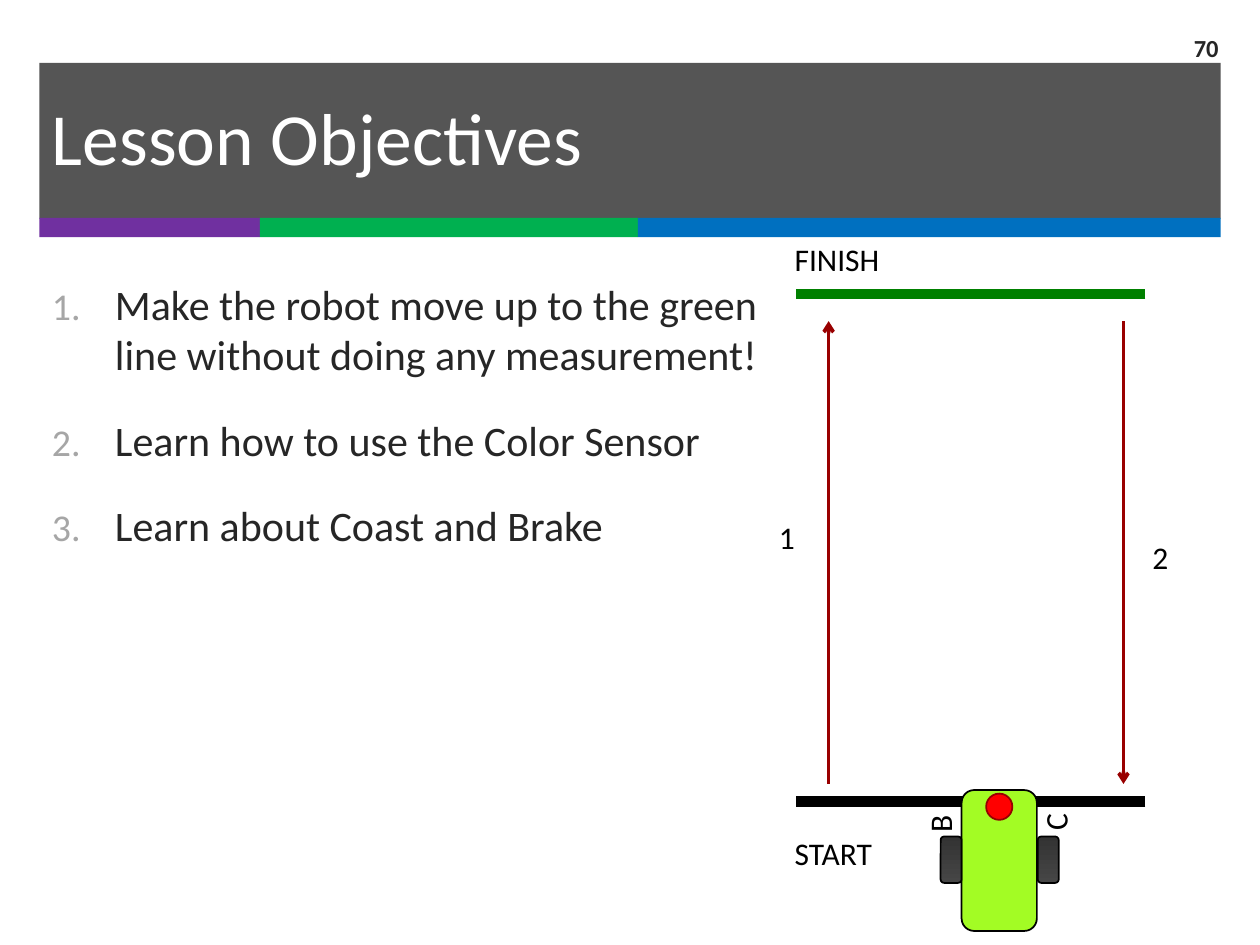
from dataclasses import dataclass

from lxml import etree
from pptx import Presentation
from pptx.dml.color import RGBColor
from pptx.enum.shapes import MSO_CONNECTOR, MSO_SHAPE
from pptx.enum.text import MSO_ANCHOR, MSO_AUTO_SIZE, PP_ALIGN
from pptx.oxml.ns import qn
from pptx.util import Pt

RECT, ROUND, OVAL = MSO_SHAPE.RECTANGLE, MSO_SHAPE.ROUNDED_RECTANGLE, MSO_SHAPE.OVAL
STRAIGHT = MSO_CONNECTOR.STRAIGHT
TOP, MIDDLE = MSO_ANCHOR.TOP, MSO_ANCHOR.MIDDLE
LEFT, RIGHT = PP_ALIGN.LEFT, PP_ALIGN.RIGHT
NO_AUTOFIT = MSO_AUTO_SIZE.NONE

FONT = "Calibri"
COLORS = {
    "banner": "0D0D0D", "purple": "7030A0", "green": "00B050", "blue": "0070C0",
    "white": "FFFFFF", "text": "262626", "number": "A6A6A6", "black": "000000",
    "finish": "008000", "route": "990000", "robot": "A3FC24", "sensor": "FF0000",
    "sensor_edge": "960000", "wheel_light": "464646", "wheel_dark": "333333",
}
OBJECTIVES = [
    "Make the robot move up to the green\vline without doing any measurement!",
    "Learn how to use the Color Sensor",
    "Learn about Coast and Brake",
]


@dataclass
class Box:
    x: float
    y: float
    w: float
    h: float


@dataclass
class Line:
    x1: float
    y1: float
    x2: float
    y2: float
    color: str
    width: float
    arrow: bool = False


@dataclass
class Label:
    text: str
    box: Box
    rotation: int = 0
    wrap: bool = True


BANNER = Box(22.5, 36, 675, 89)
STRIPES = [("purple", 126), ("green", 216), ("blue", 333)]
LINES = [
    Line(654.5, 168, 455, 168, "finish", 6),
    Line(654.5, 458, 455, 458, "black", 6),
    Line(473.5, 448, 473.5, 183.5, "route", 2, True),
    Line(642, 183.5, 642, 448, "route", 2, True),
]
LABELS = [
    Label("1", Box(438, 292.5, 24.5, 29)),
    Label("2", Box(651.5, 304, 24.5, 29)),
    Label("FINISH", Box(447, 133.5, 74, 29), wrap=False),
    Label("START", Box(447, 473, 72, 29), wrap=False),
]
MOTOR_LABELS = [
    Label("B", Box(517, 456, 32.5, 21.5), 270),
    Label("C", Box(583, 454.5, 32.5, 21.5), 270),
]


def rgb(name: str) -> RGBColor:
    return RGBColor.from_string(COLORS[name])


def add_block(s, kind, box: Box, fill: str = "", line: str = ""):
    sp = s.shapes.add_shape(kind, Pt(box.x), Pt(box.y), Pt(box.w), Pt(box.h))
    sp.shadow.inherit = False
    if fill:
        sp.fill.solid()
        sp.fill.fore_color.rgb = rgb(fill)
    if line:
        sp.line.color.rgb = rgb(line)
        sp.line.width = Pt(1)
    else:
        sp.line.fill.background()
    return sp


def add_wheel(s, box: Box) -> None:
    sp = add_block(s, ROUND, box, line="black")
    sp.fill.gradient()
    sp.fill.gradient_angle = 90
    for stop, name in zip(sp.fill.gradient_stops, ("wheel_light", "wheel_dark")):
        stop.color.rgb = rgb(name)


def add_line(s, line: Line) -> None:
    cn = s.shapes.add_connector(STRAIGHT, Pt(line.x1), Pt(line.y1), Pt(line.x2), Pt(line.y2))
    cn.line.color.rgb = rgb(line.color)
    cn.line.width = Pt(line.width)
    if line.arrow:
        etree.SubElement(cn.line._get_or_add_ln(), qn("a:tailEnd"), type="arrow")
    etree.SubElement(cn._element.spPr, qn("a:effectLst"))


def write(p, text: str, *, size: float, color: str = "black", bold: bool = False,
          align=LEFT) -> None:
    p.alignment = align
    for i, part in enumerate(text.split("\v")):
        if i:
            p.add_line_break()
        r = p.add_run()
        r.text = part
        r.font.name = FONT
        r.font.size = Pt(size)
        r.font.bold = bold
        r.font.color.rgb = rgb(color)


def add_label(s, label: Label, anchor=TOP, size: float = 18, **style) -> None:
    b = label.box
    sp = s.shapes.add_textbox(Pt(b.x), Pt(b.y), Pt(b.w), Pt(b.h))
    sp.rotation = label.rotation
    tf = sp.text_frame
    tf.word_wrap = label.wrap
    tf.vertical_anchor = anchor
    write(tf.paragraphs[0], label.text, size=size, **style)


def place(s, sp, box: Box, anchor):
    sp.left, sp.top, sp.width, sp.height = Pt(box.x), Pt(box.y), Pt(box.w), Pt(box.h)
    s.shapes._spTree.append(sp._element)
    tf = sp.text_frame
    tf.auto_size = NO_AUTOFIT
    tf.vertical_anchor = anchor
    return tf


def number(p) -> None:
    pPr = p._p.get_or_add_pPr()
    pPr.set("marL", str(Pt(36)))
    pPr.set("indent", str(-Pt(36)))
    color = etree.SubElement(pPr, qn("a:buClr"))
    etree.SubElement(color, qn("a:srgbClr"), val=COLORS["number"])
    etree.SubElement(pPr, qn("a:buSzPct"), val="90000")
    etree.SubElement(pPr, qn("a:buFont"), typeface=FONT)
    etree.SubElement(pPr, qn("a:buAutoNum"), type="arabicPeriod")


def add_header(s) -> None:
    banner = add_block(s, RECT, BANNER, "banner")
    color = banner.fill._xPr.find(qn("a:solidFill"))[0]
    etree.SubElement(color, qn("a:alpha"), val="70000")
    x = BANNER.x
    for name, width in STRIPES:
        add_block(s, RECT, Box(x, 124.5, width, 11), name)
        x += width
    tf = place(s, s.shapes.title, Box(BANNER.x, 39.5, BANNER.w, 76.5), MIDDLE)
    write(tf.paragraphs[0], "Lesson Objectives", size=42, color="white")


def add_objectives(s) -> None:
    tf = place(s, s.placeholders[1], Box(BANNER.x, 155.5, BANNER.w, 327), TOP)
    for i, text in enumerate(OBJECTIVES):
        p = tf.add_paragraph() if i else tf.paragraphs[0]
        number(p)
        p.space_before = Pt(20 if i else 0)
        write(p, text, size=24, color="text")


def add_robot(s) -> None:
    add_block(s, ROUND, Box(549.5, 451.5, 43, 80.5), "robot", "black")
    for x in (593, 537.5):
        add_wheel(s, Box(x, 478, 12, 26.5))
    add_block(s, OVAL, Box(563.5, 453.5, 15, 15), "sensor", "sensor_edge")
    for label in MOTOR_LABELS:
        add_label(s, label)


def main() -> None:
    prs = Presentation()
    prs.slide_width, prs.slide_height = Pt(720), Pt(540)
    s = prs.slides.add_slide(prs.slide_layouts[1])
    add_header(s)
    add_objectives(s)
    for line in LINES:
        add_line(s, line)
    for label in LABELS:
        add_label(s, label)
    add_robot(s)
    add_label(s, Label("70", Box(654, 13, 49.5, 28)), MIDDLE, 14,
              color="text", bold=True, align=RIGHT)
    prs.save("out.pptx")


if __name__ == "__main__":
    main()
